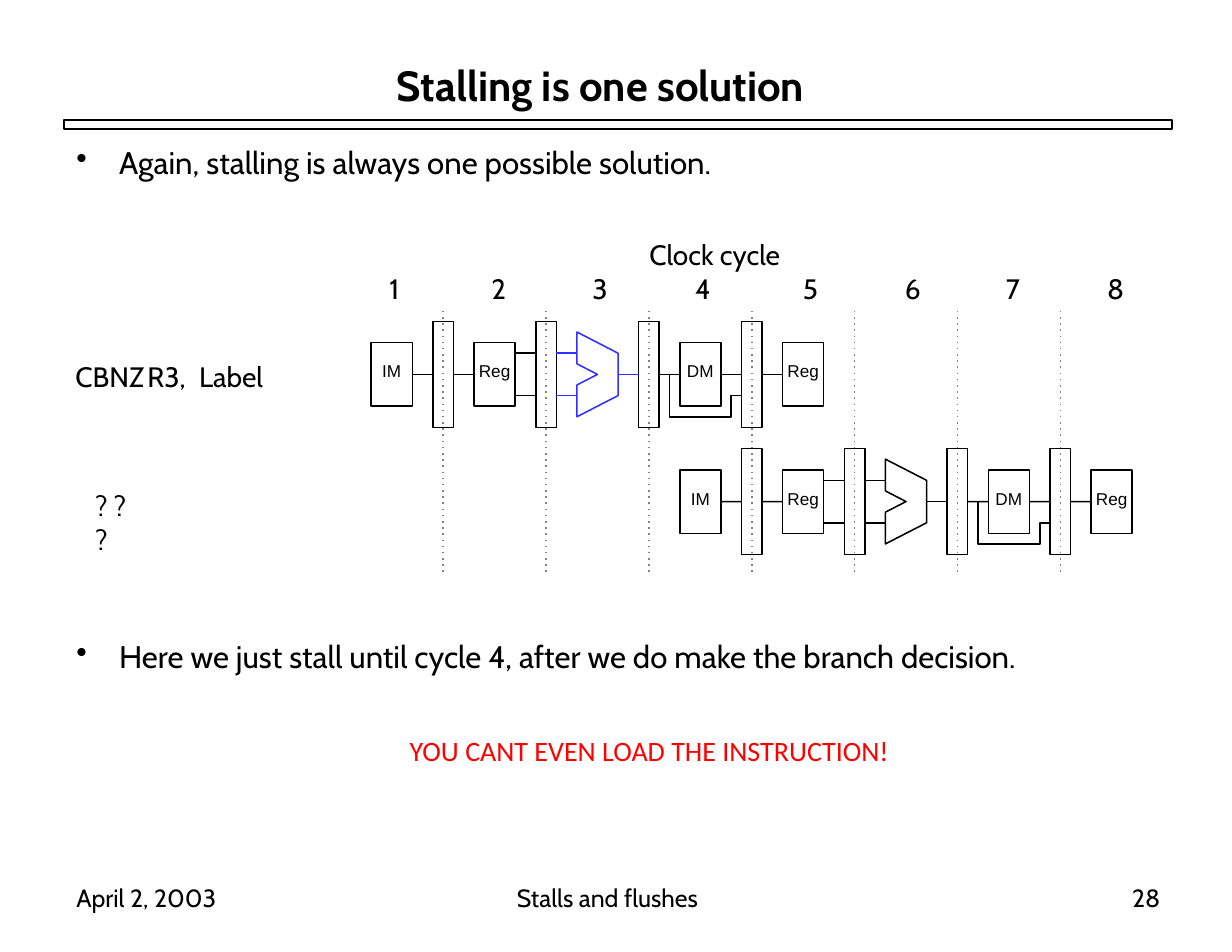
"""Build the slide that shows stalling a pipeline after a branch."""
from dataclasses import dataclass

from pptx import Presentation
from pptx import util as u
from pptx.dml.color import RGBColor
from pptx.enum import shapes, text
from pptx.oxml import ns, xmlchemy
from pptx.util import Cm


@dataclass(frozen=True)
class Theme:
    ink: str = "000000"
    active: str = "3030FF"
    cycle_mark: str = "828282"
    warning: str = "FF0000"
    body_font: str = "Cabin"
    unit_font: str = "Arial"
    warning_font: str = "Calibri"
    title_size: int = 27
    body_size: int = 20
    label_size: int = 18
    footer_size: int = 16
    unit_size: int = 11


theme = Theme()
deck = Presentation()
deck.slide_width, deck.slide_height = Cm(27.91), Cm(21.56)
slide = deck.slides.add_slide(deck.slide_layouts[6])
canvas = slide.shapes


def write(frame, words, size, font=theme.body_font, color=theme.ink, align=text.PP_ALIGN.LEFT,
          bold=False, bullet=False, tabs=()):
    frame.margin_left = frame.margin_right = frame.margin_top = frame.margin_bottom = 0
    frame.word_wrap = True
    paragraph = frame.paragraphs[0]
    paragraph.alignment = align
    settings = paragraph._p.get_or_add_pPr()
    if bullet:
        settings.set("marL", str(Cm(1)))
        settings.set("indent", str(Cm(-0.97)))
        mark = xmlchemy.OxmlElement("a:buChar")
        mark.set("char", "•")
        settings.append(mark)
    if tabs:
        stops = xmlchemy.OxmlElement("a:tabLst")
        for position in tabs:
            stop = xmlchemy.OxmlElement("a:tab")
            stop.set("pos", str(Cm(position)))
            stop.set("algn", "l")
            stops.append(stop)
        settings.append(stops)
    run = paragraph.add_run()
    run.text = words
    run.font.name, run.font.size, run.font.bold = font, u.Pt(size), bold
    run.font.color.rgb = RGBColor.from_string(color)


def outline(shape, color=theme.ink):
    shape.line.color.rgb = RGBColor.from_string(color)
    shape.line.width = u.Pt(1)
    if hasattr(shape, "fill"):
        shape.fill.background()
        shape.shadow.inherit = False
    else:
        shape._element.spPr.append(xmlchemy.OxmlElement("a:effectLst"))
    return shape


outline(canvas.add_shape(shapes.MSO_SHAPE.RECTANGLE, Cm(1.45), Cm(2.72), Cm(25.1), Cm(0.2)))

captions = [
    (8.99, 1.35, 11, "Stalling is one solution", dict(size=theme.title_size, bold=True)),
    (1.7, 3.25, 24, "Again, stalling is always one possible solution.",
     dict(size=theme.body_size, bullet=True)),
    (1.7, 14.43, 24, "Here we just stall until cycle 4, after we do make the branch decision.",
     dict(size=theme.body_size, bullet=True)),
    (14.71, 5.38, 4, "Clock cycle", dict(size=theme.label_size)),
    (1.71, 8.15, 6, "CBNZ\tR3,\tLabel", dict(size=theme.label_size, tabs=(1.63, 2.8))),
    (2.16, 11.07, 1, "? ? ?", dict(size=theme.label_size)),
    (3.38, 16.61, 22.66, "YOU CANT EVEN LOAD THE INSTRUCTION!",
     dict(size=theme.label_size, font=theme.warning_font, color=theme.warning,
          align=text.PP_ALIGN.CENTER)),
    (1.73, 20, 5, "April 2, 2003", dict(size=theme.footer_size)),
    (11.71, 20, 6, "Stalls and flushes", dict(size=theme.footer_size)),
    (25.65, 20, 1.2, "28", dict(size=theme.footer_size)),
]
cycle_lefts = (8.82, 11.13, 13.42, 15.75, 18.19, 20.5, 22.79, 25.08)
captions += [(left, 6.15, 0.8, str(cycle), dict(size=theme.label_size))
             for cycle, left in enumerate(cycle_lefts, 1)]
for left, top, width, words, style in captions:
    box = canvas.add_textbox(Cm(left), Cm(top), Cm(width), Cm(0.8))
    write(box.text_frame, words, **style)

CYCLE = 2.33
STEP_X, STEP_Y = CYCLE / 10, 0.24
PIPELINE_LEFT = 8.41

units = [(0, 4, 3, "IM"), (10, 4, 3, "Reg"), (30, 4, 3, "DM"), (40, 4, 3, "Reg")]
latches = [(column, 2, 5, "") for column in (6, 16, 26, 36)]
alu_corners = [(20, -4), (24, -2), (24, 2), (20, 4), (20, 1), (22, 0), (20, -1)]
bypass_corners = [(29, 0), (29, 4), (35, 4), (35, 2), (36, 2)]
wires = [(4, 6, 0), (8, 10, 0), (28, 30, 0), (34, 36, 0), (38, 40, 0), (14, 16, -2), (14, 16, 2)]
alu_wires = [(18, 20, -2), (18, 20, 2), (24, 26, 0)]

for first_cycle, middle, alu_color in ((0, 8.48, theme.active), (3, 11.36, theme.ink)):
    start = PIPELINE_LEFT + first_cycle * CYCLE
    left_sides, right_sides = {}, {}
    for column, width, half, name in units + latches:
        block = outline(canvas.add_shape(
            shapes.MSO_SHAPE.RECTANGLE, Cm(start + column * STEP_X), Cm(middle - half * STEP_Y),
            Cm(width * STEP_X), Cm(2 * half * STEP_Y)))
        left_sides[column] = right_sides[column + width] = block
        if name:
            write(block.text_frame, name, theme.unit_size, theme.unit_font,
                  align=text.PP_ALIGN.CENTER)
            block.text_frame.vertical_anchor = text.MSO_ANCHOR.MIDDLE
            block.text_frame.margin_bottom = Cm(0.15)

    for corners, closed, color in ((alu_corners, True, alu_color),
                                   (bypass_corners, False, theme.ink)):
        points = [(Cm(start + x * STEP_X), Cm(middle + y * STEP_Y)) for x, y in corners]
        builder = canvas.build_freeform(*points[0])
        builder.add_line_segments(points[1:], close=closed)
        outline(builder.convert_to_shape(), color)

    for begin, end, level in wires + alu_wires:
        height = Cm(middle + level * STEP_Y)
        wire = canvas.add_connector(
            shapes.MSO_CONNECTOR.STRAIGHT, Cm(start + begin * STEP_X), height,
            Cm(start + end * STEP_X), height)
        outline(wire, alu_color if (begin, end, level) in alu_wires else theme.ink)
        if level == 0 and begin in right_sides:
            wire.begin_connect(right_sides[begin], 3)
        if level == 0 and end in left_sides:
            wire.end_connect(left_sides[end], 1)

for cycle in range(7):
    x = Cm(PIPELINE_LEFT + 7 * STEP_X + cycle * CYCLE)
    boundary = canvas.add_connector(shapes.MSO_CONNECTOR.STRAIGHT, x, Cm(7.04), x, Cm(13.03))
    outline(boundary, theme.cycle_mark)
    dash = xmlchemy.OxmlElement("a:prstDash")
    dash.set("val", "dot")
    boundary._element.spPr.find(ns.qn("a:ln")).append(dash)

deck.save("out.pptx")
